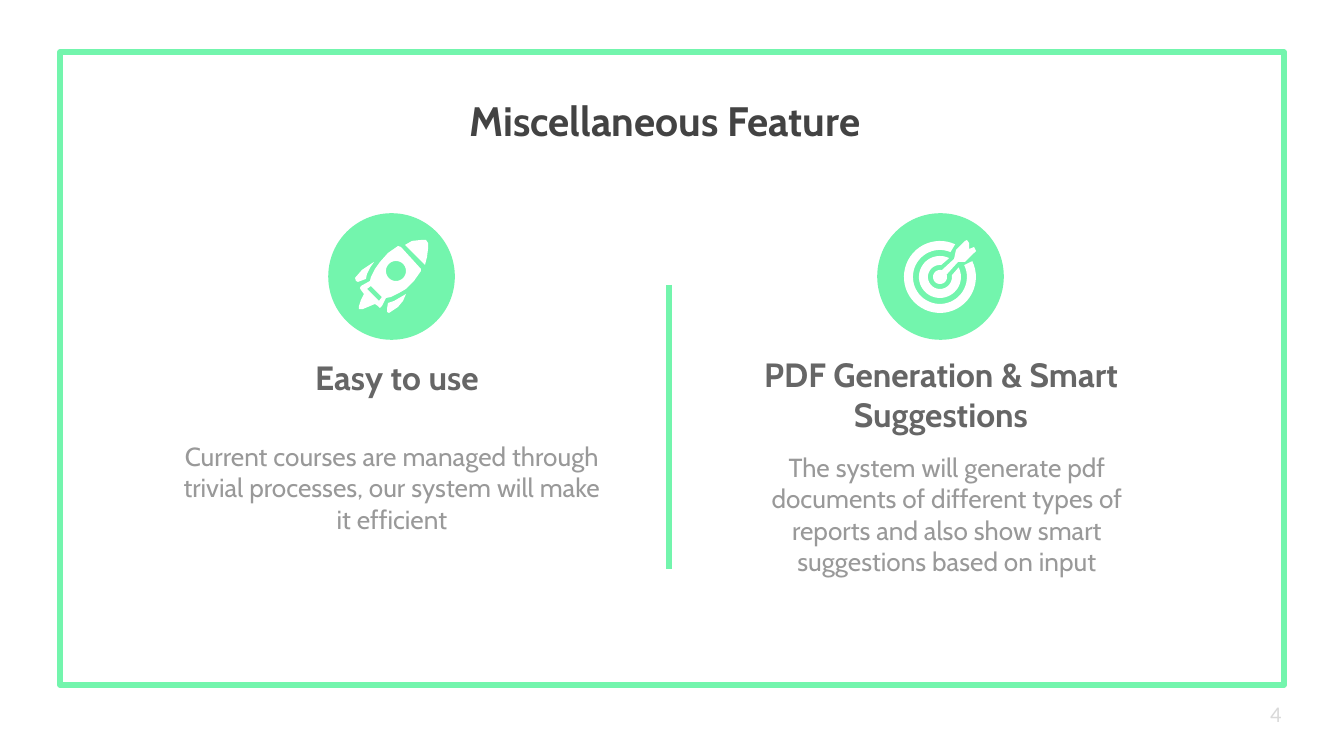
import math

import lxml.etree
import pptx
import pptx.dml.color
import pptx.enum.shapes
import pptx.enum.text
import pptx.oxml.ns
import pptx.util

RGB = pptx.dml.color.RGBColor
ANCHOR = pptx.enum.text.MSO_ANCHOR
ALIGN = pptx.enum.text.PP_ALIGN
SHAPE = pptx.enum.shapes.MSO_SHAPE
qn = pptx.oxml.ns.qn

GREEN = RGB(0x73, 0xF5, 0xAD)
WHITE = RGB(0xFF, 0xFF, 0xFF)
TITLE_GREY = RGB(0x43, 0x43, 0x43)
HEADING_GREY = RGB(0x66, 0x66, 0x66)
BODY_GREY = RGB(0x99, 0x99, 0x99)
NUMBER_GREY = RGB(0xD9, 0xD9, 0xD9)
PX = 914400 / 134.4


def emu(*lengths):
    return [round(n * PX) for n in lengths]


def arc(cx, cy, radius, start, end):
    steps = 48
    angles = [math.radians(start + (end - start) * i / steps) for i in range(steps + 1)]
    return [(cx + radius * math.cos(a), cy + radius * math.sin(a)) for a in angles]


def ring(outer, inner, outer_span, inner_span):
    return arc(*HUB, outer, *outer_span) + arc(*HUB, inner, *reversed(inner_span))


TITLE = ("Miscellaneous Feature", (-7, 82, 1344, 71))
NUMBER = ("4", (1257, 685, 81, 58))
FRAME = (60, 52, 1224, 633)
DIVIDER = (669, 285, 669, 569)
BADGE_TOP, BADGE_SIZE = 216, 121
HUB = (940, 277)

ROCKET = [
    [
        [(398, 246), (388, 253), (380, 262), (375, 269), (371, 277), (370, 281),
         (361, 286), (360, 288), (361, 290), (364, 294), (361, 300), (359, 306),
         (359, 309), (363, 309), (375, 304), (378, 306), (380, 308), (382, 306),
         (386, 298), (391, 297), (399, 293), (406, 289), (414, 281), (421, 271),
         (421, 269), (401, 247)],
        [(371, 286), (382, 297), (379, 301), (367, 289)],
        arc(396, 271, 10, 0, 360),
    ],
    [[(421, 240), (412, 241), (405, 245), (425, 265), (427, 257), (428, 249),
      (428, 243), (426, 240)]],
    [[(406, 294), (394, 301), (388, 303), (387, 309), (387, 312), (389, 313),
      (398, 307), (403, 301)]],
    [[(374, 262), (362, 270), (355, 278), (356, 281), (358, 282), (366, 279),
      (367, 274), (370, 268)]],
]
TARGET = [
    [arc(*HUB, 7, -20, 280) + [
        (942, 270), (954, 259), (956, 250), (965, 241), (967, 240), (969, 243),
        (969, 249), (974, 247), (976, 251), (965, 262), (958, 262)]],
    [ring(21, 12, (-27, 296), (-8, 276))],
    [ring(36, 27, (-26, 295), (-26, 293))],
]
FEATURES = [
    {
        "heading": ("Easy to use", (164, 316, 466, 95)),
        "body": ("Current courses are managed through trivial processes, "
                 "our system will make it efficient", (164, 427, 456, 164)),
        "badge_left": 331,
        "icon": ROCKET,
    },
    {
        "heading": ("PDF Generation & Smart Suggestions", (708, 353, 466, 95)),
        "body": ("The system will generate pdf documents of different types of reports "
                 "and also show smart suggestions based on input", (719, 438, 456, 164)),
        "badge_left": 880,
        "icon": TARGET,
    },
]


def write(sp, content, size, color, bold=False, anchor=ANCHOR.TOP,
          align=ALIGN.CENTER, font="Cabin"):
    text, box = content
    sp.left, sp.top, sp.width, sp.height = emu(*box)
    tf = sp.text_frame
    tf.text = text
    tf.word_wrap = True
    tf.auto_size = pptx.enum.text.MSO_AUTO_SIZE.NONE
    tf.vertical_anchor = anchor
    tf.margin_left = tf.margin_right = tf.margin_top = tf.margin_bottom = pptx.util.Inches(0.1)
    p = tf.paragraphs[0]
    p.alignment = align
    p.space_before = pptx.util.Pt(0)
    pPr = p._p.get_or_add_pPr()
    pPr.set("marL", "0")
    pPr.set("indent", "0")
    lxml.etree.SubElement(pPr, qn("a:buNone"))
    r = p.runs[0]
    r.font.name = font
    r.font.size = pptx.util.Pt(size)
    r.font.bold = bold
    r.font.color.rgb = color


def outline(sp):
    sp.line.color.rgb = GREEN
    sp.line.width = pptx.util.Pt(3)


def add_badge(s, left, icon):
    sp = s.shapes.add_shape(SHAPE.OVAL, *emu(left, BADGE_TOP, BADGE_SIZE, BADGE_SIZE))
    sp.shadow.inherit = False
    sp.fill.solid()
    sp.fill.fore_color.rgb = GREEN
    outline(sp)
    for contours in icon:
        builder = s.shapes.build_freeform(*emu(*contours[0][0]))
        for i, points in enumerate(contours):
            if i:
                builder.move_to(*emu(*points[0]))
            builder.add_line_segments([emu(*pt) for pt in points[1:]], close=True)
        sp = builder.convert_to_shape()
        sp.shadow.inherit = False
        sp.fill.solid()
        sp.fill.fore_color.rgb = WHITE
        sp.line.fill.background()


def main():
    prs = pptx.Presentation()
    prs.slide_width, prs.slide_height = emu(1344, 756)
    s = prs.slides.add_slide(prs.slide_layouts.get_by_name("Comparison"))

    frame = s.shapes.add_shape(SHAPE.RECTANGLE, *emu(*FRAME))
    frame.shadow.inherit = False
    frame.fill.background()
    outline(frame)
    lxml.etree.SubElement(frame.line._get_or_add_ln(), qn("a:round"))

    divider = s.shapes.add_connector(pptx.enum.shapes.MSO_CONNECTOR.STRAIGHT, *emu(*DIVIDER))
    outline(divider)
    lxml.etree.SubElement(divider._element.spPr, qn("a:effectLst"))

    write(s.shapes.title, TITLE, 22, TITLE_GREY, bold=True)
    for i, feature in enumerate(FEATURES):
        add_badge(s, feature["badge_left"], feature["icon"])
        write(s.placeholders[2 * i + 1], feature["heading"], 18, HEADING_GREY,
              bold=True, anchor=ANCHOR.BOTTOM)
        write(s.placeholders[2 * i + 2], feature["body"], 14, BODY_GREY)

    number = s.shapes.add_textbox(0, 0, 0, 0)
    write(number, NUMBER, 12, NUMBER_GREY, anchor=ANCHOR.MIDDLE,
          align=ALIGN.LEFT, font="Calibri")
    prs.save("out.pptx")


if __name__ == "__main__":
    main()
